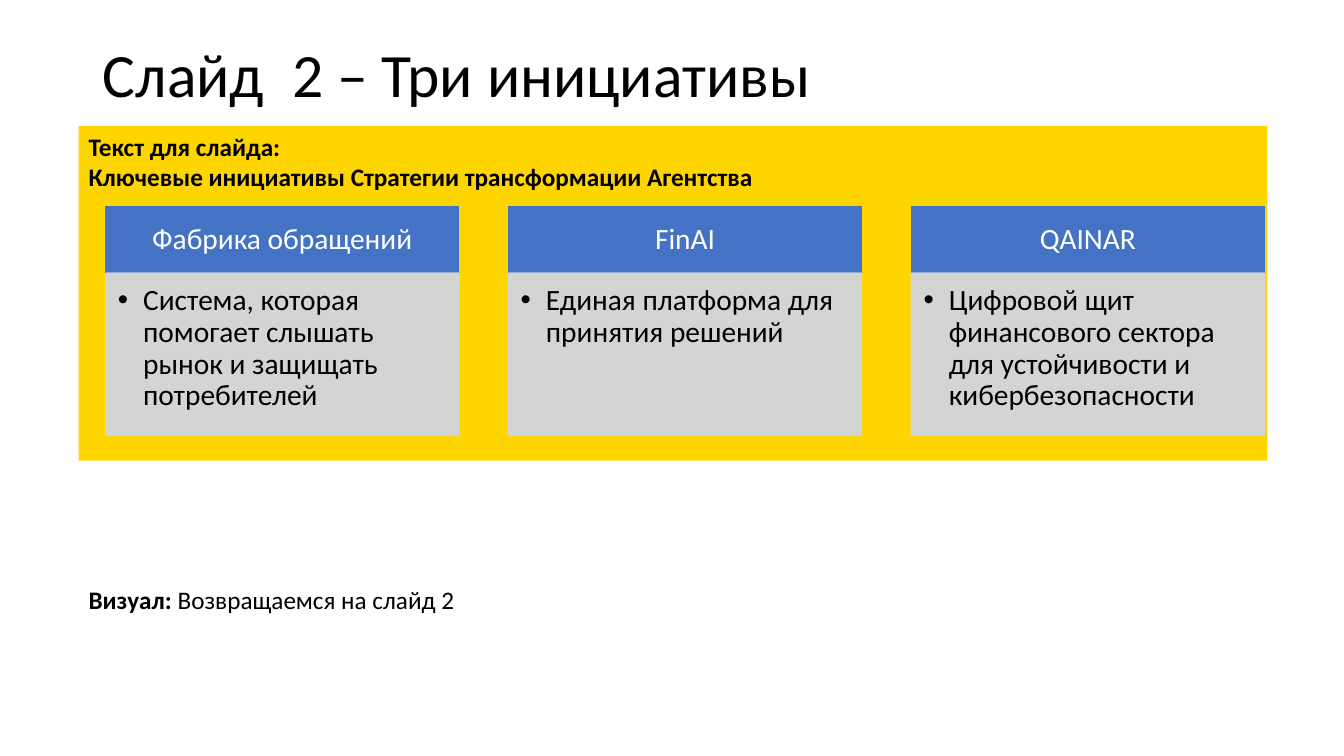
"""Build the slide that presents the three initiatives."""
import pptx
import pptx.dml.color
import pptx.enum.shapes
import pptx.enum.text
import pptx.oxml
import pptx.oxml.ns
import pptx.util

Inches = pptx.util.Inches
Align = pptx.enum.text.PP_ALIGN
Anchor = pptx.enum.text.MSO_ANCHOR

TITLE = "Слайд  2 – Три инициативы"
PANEL_LINES = [
    [("Текст для слайда:", True)],
    [("Ключевые инициативы Стратегии трансформации Агентства", True)],
]
VISUAL_LINES = [[("Визуал: ", True), ("Возвращаемся на слайд 2", False)]]
INITIATIVES = [
    ("Фабрика обращений", "Система, которая помогает слышать рынок и защищать потребителей"),
    ("FinAI", "Единая платформа для принятия решений"),
    ("QAINAR", "Цифровой щит финансового сектора для устойчивости и кибербезопасности"),
]
BLACK, WHITE, YELLOW, BLUE, PALE = "000000", "FFFFFF", "FFD500", "4472C4", "CFD5EA"
CARD_LEFT, CARD_TOP, CARD_WIDTH, CARD_STEP = 1.05, 2.05, 3.5, 3.995
HEADER_HEIGHT, BODY_HEIGHT = 0.66, 1.61


def color(value):
    return pptx.dml.color.RGBColor.from_string(value)


def add_xml(parent, tag, **attributes):
    element = pptx.oxml.parse_xml(f"<a:{tag} {pptx.oxml.ns.nsdecls('a')}/>")
    for name, value in attributes.items():
        element.set(name, value)
    parent.append(element)


def add_box(slide, box, fill, outlined=False):
    shape = slide.shapes.add_shape(
        pptx.enum.shapes.MSO_SHAPE.RECTANGLE, *map(Inches, box))
    shape.shadow.inherit = False
    shape.fill.solid()
    shape.fill.fore_color.rgb = color(fill)
    if outlined:
        shape.line.color.rgb = color(fill)
        shape.line.width = pptx.util.Pt(1)
    else:
        shape.line.fill.background()
    return shape


def write(shape, lines, size, ink, align=Align.LEFT, anchor=Anchor.TOP,
          insets=(0.1, 0.05, 0.1, 0.05), spacing=1.0, bullet=False):
    frame = shape.text_frame
    frame.word_wrap = True
    frame.auto_size = pptx.enum.text.MSO_AUTO_SIZE.NONE
    frame.vertical_anchor = anchor
    (frame.margin_left, frame.margin_top,
     frame.margin_right, frame.margin_bottom) = map(Inches, insets)
    for index, runs in enumerate(lines):
        paragraph = frame.add_paragraph() if index else frame.paragraphs[0]
        paragraph.alignment = align
        paragraph.line_spacing = spacing
        if bullet:
            properties = paragraph._p.get_or_add_pPr()
            properties.set("marL", str(Inches(0.25)))
            properties.set("indent", str(Inches(-0.25)))
            add_xml(properties, "buFont", typeface="Arial")
            add_xml(properties, "buChar", char="•")
        for text, bold in runs:
            run = paragraph.add_run()
            run.text = text
            run.font.name = "Calibri"
            run.font.size = pptx.util.Pt(size)
            run.font.bold = bold
            run.font.color.rgb = color(ink)


def add_card(slide, left, name, description):
    header = add_box(slide, (left, CARD_TOP, CARD_WIDTH, HEADER_HEIGHT), BLUE, True)
    write(header, [[(name, False)]], 21, WHITE, Align.CENTER, Anchor.MIDDLE,
          (0.16, 0.09, 0.16, 0.09), 0.9)
    body = add_box(
        slide, (left, CARD_TOP + HEADER_HEIGHT, CARD_WIDTH, BODY_HEIGHT), PALE, True)
    for tint in body._element.spPr.iter(pptx.oxml.ns.qn("a:srgbClr")):
        add_xml(tint, "alpha", val="90000")
    write(body, [[(description, False)]], 21, BLACK,
          insets=(0.12, 0.12, 0.16, 0.18), spacing=0.9, bullet=True)


def main():
    presentation = pptx.Presentation()
    presentation.slide_width, presentation.slide_height = Inches(13.33), Inches(7.5)
    slide = presentation.slides.add_slide(presentation.slide_layouts[5])

    panel = add_box(slide, (0.78, 1.25, 11.79, 3.32), YELLOW)
    write(panel, PANEL_LINES, 18, BLACK)
    visual = add_box(slide, (0.78, 5.75, 11.77, 0.4), WHITE)
    write(visual, VISUAL_LINES, 18, BLACK)

    title = slide.shapes.title
    title.left, title.top, title.width, title.height = map(Inches, (0.92, 0.4, 11.5, 0.73))
    write(title, [[(TITLE, False)]], 44, BLACK, anchor=Anchor.MIDDLE, spacing=0.9)

    for index, (name, description) in enumerate(INITIATIVES):
        add_card(slide, CARD_LEFT + index * CARD_STEP, name, description)
    presentation.save("out.pptx")


if __name__ == "__main__":
    main()
